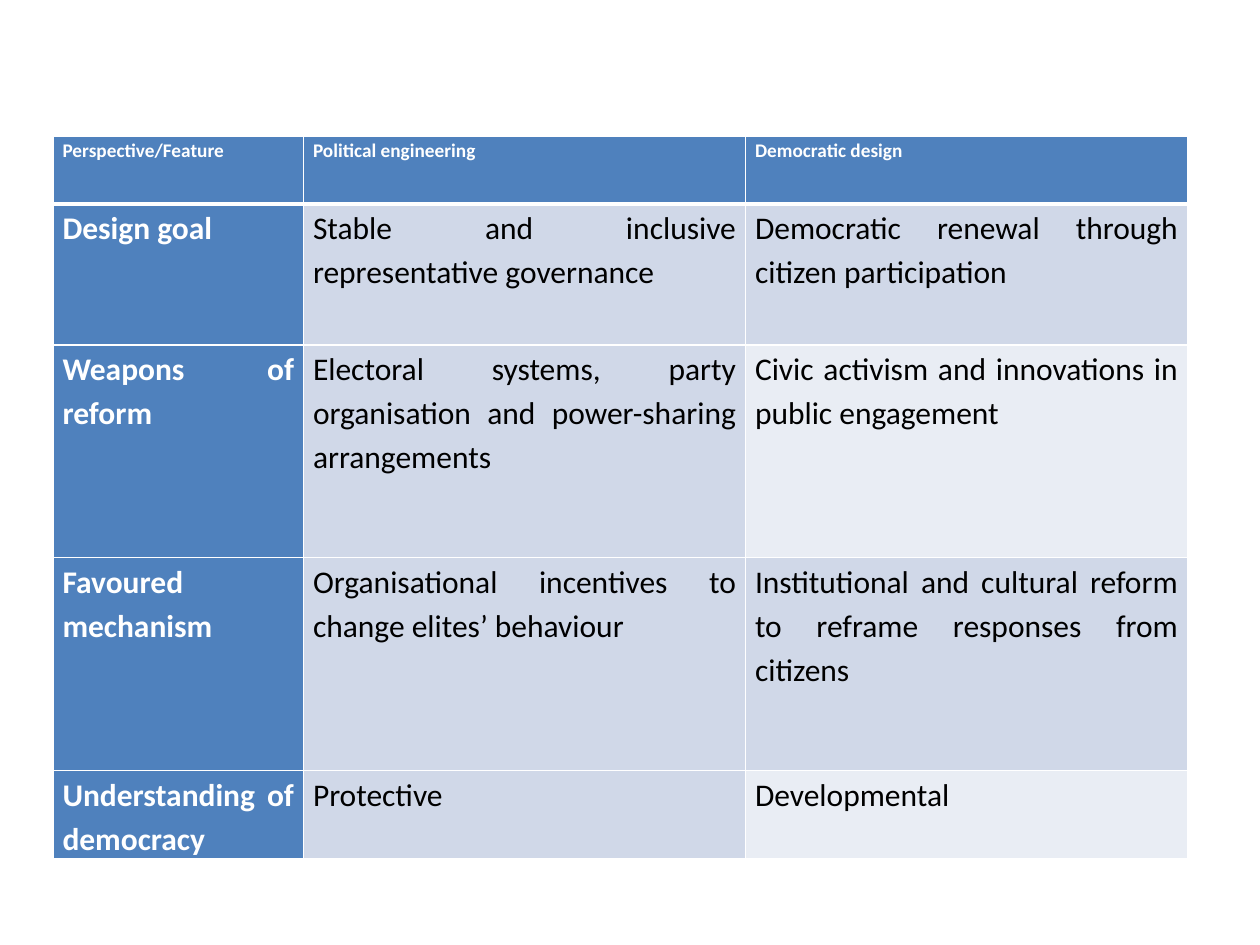
import pptx
import pptx.util
import pptx.dml.color
import pptx.enum.text
import pptx.oxml.ns
import lxml.etree

Cm, Pt = pptx.util.Cm, pptx.util.Pt
RGB = pptx.dml.color.RGBColor.from_string

ROWS = [
    ("Perspective/Feature", "Political engineering", "Democratic design"),
    ("Design goal",
     "Stable and inclusive representative governance",
     "Democratic renewal through citizen participation"),
    ("Weapons of reform",
     "Electoral systems, party organisation and power-sharing arrangements",
     "Civic activism and innovations in public engagement"),
    ("Favoured mechanism",
     "Organisational incentives to change elites’ behaviour",
     "Institutional and cultural reform to reframe responses from citizens"),
    ("Understanding of democracy", "Protective", "Developmental"),
]
COL_WIDTHS = [Cm(w) for w in (5.05, 8.91, 8.91)]
ROW_HEIGHTS = [Cm(h) for h in (1.37, 2.84, 4.29, 4.29, 1.37)]

THEME = {
    "font": "Calibri", "head_size": Pt(11), "body_size": Pt(18),
    "heading": "4F81BD", "band": "D0D8E8", "light": "E9EDF4",
    "light_text": "FFFFFF", "dark_text": "000000",
    "border": "FFFFFF", "thin": Pt(1), "thick": Pt(3),
}
CELL_FORMAT = {"margin_left": Cm(0.19), "margin_right": Cm(0.19),
               "margin_top": 0, "margin_bottom": 0}
PARAGRAPH_FORMAT = {"alignment": pptx.enum.text.PP_ALIGN.JUSTIFY,
                    "line_spacing": 1.15, "space_after": Pt(10)}


def apply(obj, values):
    """Set every named attribute on an object."""
    for name, value in values.items():
        setattr(obj, name, value)


def cell_fill(row, col):
    """Choose the fill: headings, then bands shading the last column."""
    if row == 0 or col == 0:
        return THEME["heading"]
    return THEME["light"] if col == 2 and row % 2 == 0 else THEME["band"]


def add_borders(cell, widths):
    """Draw the cell's border lines; they must precede the fill."""
    qn = pptx.oxml.ns.qn
    tc_pr = cell._tc.get_or_add_tcPr()
    for pos, (side, width) in enumerate(widths.items()):
        ln = lxml.etree.Element(qn("a:ln" + side), w=str(int(width)))
        fill = lxml.etree.SubElement(ln, qn("a:solidFill"))
        lxml.etree.SubElement(fill, qn("a:srgbClr"), val=THEME["border"])
        tc_pr.insert(pos, ln)


def fill_cell(cell, text, row, col):
    """Write and format one table cell."""
    heading = row == 0 or col == 0
    apply(cell, CELL_FORMAT)
    cell.fill.solid()
    cell.fill.fore_color.rgb = RGB(cell_fill(row, col))
    p = cell.text_frame.paragraphs[0]
    apply(p, PARAGRAPH_FORMAT)
    r = p.add_run()
    r.text = text
    apply(r.font, {"name": THEME["font"], "bold": heading,
                   "size": THEME["body_size" if row else "head_size"]})
    r.font.color.rgb = RGB(THEME["light_text" if heading else "dark_text"])
    thin, thick = THEME["thin"], THEME["thick"]
    add_borders(cell, {"L": thin, "R": thin,
                       "T": thick if row == 1 else thin,
                       "B": thick if row == 0 else thin})


def add_comparison(slide):
    """Add the table comparing the two perspectives."""
    frame = slide.shapes.add_table(len(ROWS), len(COL_WIDTHS), Cm(1.07), Cm(2.74),
                                   sum(COL_WIDTHS), sum(ROW_HEIGHTS))
    table = frame.table
    for column, width in zip(table.columns, COL_WIDTHS):
        column.width = width
    for row, height in zip(table.rows, ROW_HEIGHTS):
        row.height = height
    for i, texts in enumerate(ROWS):
        for j, text in enumerate(texts):
            fill_cell(table.cell(i, j), text, i, j)


prs = pptx.Presentation()
prs.slide_width, prs.slide_height = Cm(25.4), Cm(19.05)
add_comparison(prs.slides.add_slide(prs.slide_layouts[6]))
prs.save("out.pptx")
